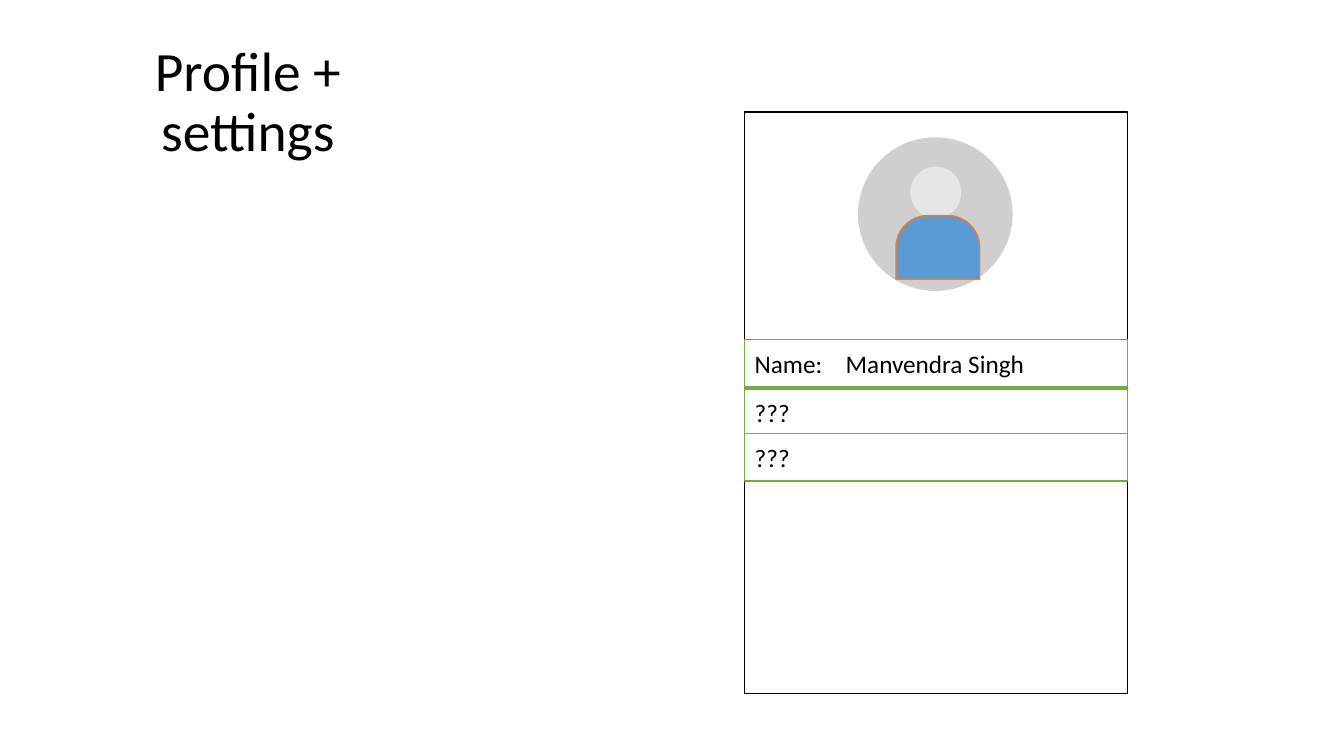
from lxml.etree import SubElement
from pptx import Presentation
from pptx.dml.color import RGBColor
from pptx.enum.shapes import MSO_SHAPE as Preset
from pptx.enum.text import MSO_ANCHOR as Anchor, MSO_AUTO_SIZE as AutoSize, PP_ALIGN as Align
from pptx.oxml.ns import qn
from pptx.util import Pt

COLORS = {
    "white": "FFFFFF",
    "black": "000000",
    "backdrop": "D0CECE",
    "head": "E7E6E6",
    "body": "5B9BD5",
    "body_line": "ED7D31",
    "row_line": "70AD47",
}
FONT = "Calibri"
TITLE_BOX = (66.2, 28.8, 221.8, 90.7)
CARD_BOX = (532, 80, 273.6, 415.4)
ROW_HEIGHT = 33.8
ROWS = [(162.7, "Name:\tManvendra Singh"), (198, "???"), (229.7, "???")]
VALUE_TAB = 65


def color(name):
    return RGBColor.from_string(COLORS[name])


def apply(target, formats):
    for name, value in formats.items():
        setattr(target, name, value)


def write(frame, text, size, align):
    apply(frame, {"word_wrap": True, "auto_size": AutoSize.NONE,
                  "vertical_anchor": Anchor.MIDDLE})
    para = frame.paragraphs[0]
    para.alignment = align
    span = para.add_run()
    span.text = text
    apply(span.font, {"name": FONT, "size": Pt(size)})
    span.font.color.rgb = color("black")
    return para


def add_part(page, preset, box, fill, line):
    part = page.shapes.add_shape(preset, *map(Pt, box))
    part.shadow.inherit = False
    part.fill.solid()
    part.fill.fore_color.rgb = color(fill)
    part.line.color.rgb = color(line)
    part.line.width = Pt(1)
    return part


def add_title(page, box):
    title = page.shapes.title
    apply(title, dict(zip(("left", "top", "width", "height"), map(Pt, box))))
    para = write(title.text_frame, "Profile + settings", 39.6, Align.CENTER)
    para.line_spacing = 0.9


def add_avatar(page, box):
    left, top, width, height = box
    add_part(page, Preset.OVAL, box, "backdrop", "backdrop")
    add_part(page, Preset.OVAL, (left + 37.4, top + 20.9, 35.3, 36), "head", "head")
    body_box = (left + 26.6, top + 55.4, 59.8, 45.4)
    body = add_part(page, Preset.ROUND_2_SAME_RECTANGLE, body_box, "body", "body_line")
    body.adjustments[0] = 0.5


def add_row(page, box, text):
    row = add_part(page, Preset.RECTANGLE, box, "white", "row_line")
    para = write(row.text_frame, text, 18, Align.LEFT)
    if "\t" in text:
        tabs = SubElement(para._p.get_or_add_pPr(), qn("a:tabLst"))
        SubElement(tabs, qn("a:tab"), pos=str(Pt(VALUE_TAB)), algn="l")


def add_card(page, box):
    left, top, width, height = box
    add_part(page, Preset.RECTANGLE, box, "white", "black")
    add_avatar(page, (left + 81.4, top + 18.6, 109.4, 108.7))
    for offset, text in ROWS:
        add_row(page, (left, top + offset, width, ROW_HEIGHT), text)


def main():
    deck = Presentation()
    apply(deck, {"slide_width": Pt(960), "slide_height": Pt(540)})
    page = deck.slides.add_slide(deck.slide_layouts.get_by_name("Title Only"))
    add_title(page, TITLE_BOX)
    add_card(page, CARD_BOX)
    deck.save("out.pptx")


if __name__ == "__main__":
    main()
